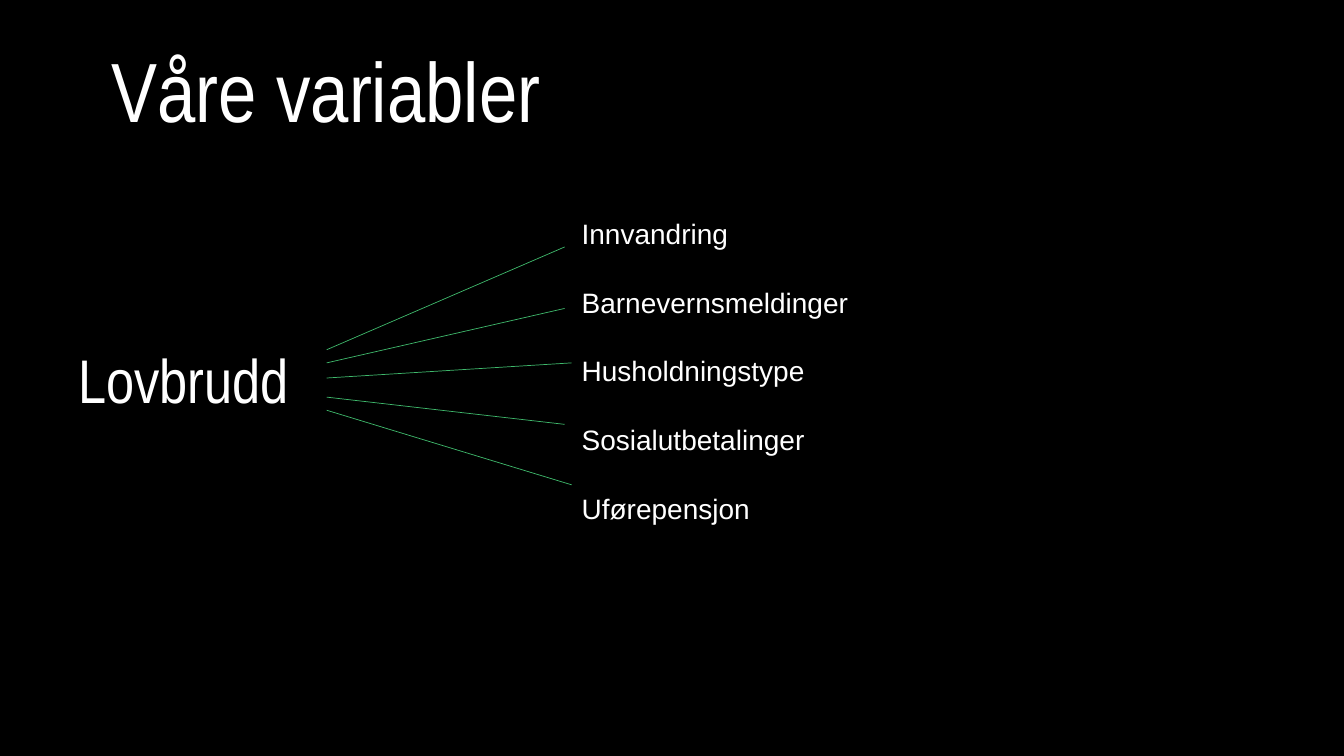
from pptx import Presentation
from pptx.dml.color import RGBColor
from pptx.enum.shapes import MSO_CONNECTOR
from pptx.enum.text import MSO_ANCHOR
from pptx.oxml.ns import qn
from pptx.util import Inches, Pt
from lxml.etree import SubElement

COLORS = {"background": "000000", "text": "FFFFFF", "link": "3FB96C"}

deck = Presentation()
deck.slide_width = Inches(13.33)
deck.slide_height = Inches(7.5)
page = deck.slides.add_slide(deck.slide_layouts[6])
page.background.fill.solid()
page.background.fill.fore_color.rgb = RGBColor.from_string(COLORS["background"])


def add_text(left, top, width, height, lines, font, size, line_spacing=1.0, gap=0):
    box = page.shapes.add_textbox(Inches(left), Inches(top), Inches(width), Inches(height))
    frame = box.text_frame
    frame.word_wrap = True
    frame.vertical_anchor = MSO_ANCHOR.TOP
    for index, line in enumerate(lines):
        para = frame.paragraphs[0] if index == 0 else frame.add_paragraph()
        para.line_spacing = line_spacing
        para.space_before = Pt(gap if index else 0)
        span = para.add_run()
        span.text = line
        span.font.name = font
        span.font.size = Pt(size)
        span.font.color.rgb = RGBColor.from_string(COLORS["text"])


# Title and outcome variable
add_text(1.01, 0.45, 10, 1.38, ["Våre variabler"], "Arial Narrow", 60, 0.9)
add_text(0.68, 3.43, 3.4, 1.27, ["Lovbrudd"], "Arial Narrow", 44, 0.9)

# Explanatory variables
variables = ["Innvandring", "Barnevernsmeldinger", "Husholdningstype",
             "Sosialutbetalinger", "Uførepensjon"]
add_text(5.67, 2.1, 3.5, 3.43, variables, "Arial", 20, gap=25)

# Lines fanning out from the outcome: start y, end x, end y
fan = [(3.47, 5.6, 2.45), (3.6, 5.6, 3.06), (3.75, 5.67, 3.6),
       (3.94, 5.6, 4.21), (4.07, 5.67, 4.81)]
for start_y, end_x, end_y in fan:
    link = page.shapes.add_connector(MSO_CONNECTOR.STRAIGHT, Inches(3.24), Inches(start_y),
                                     Inches(end_x), Inches(end_y))
    link.line.color.rgb = RGBColor.from_string(COLORS["link"])
    link.line.width = Pt(0.5)
    SubElement(link._element.spPr, qn("a:effectLst"))

deck.save("out.pptx")
